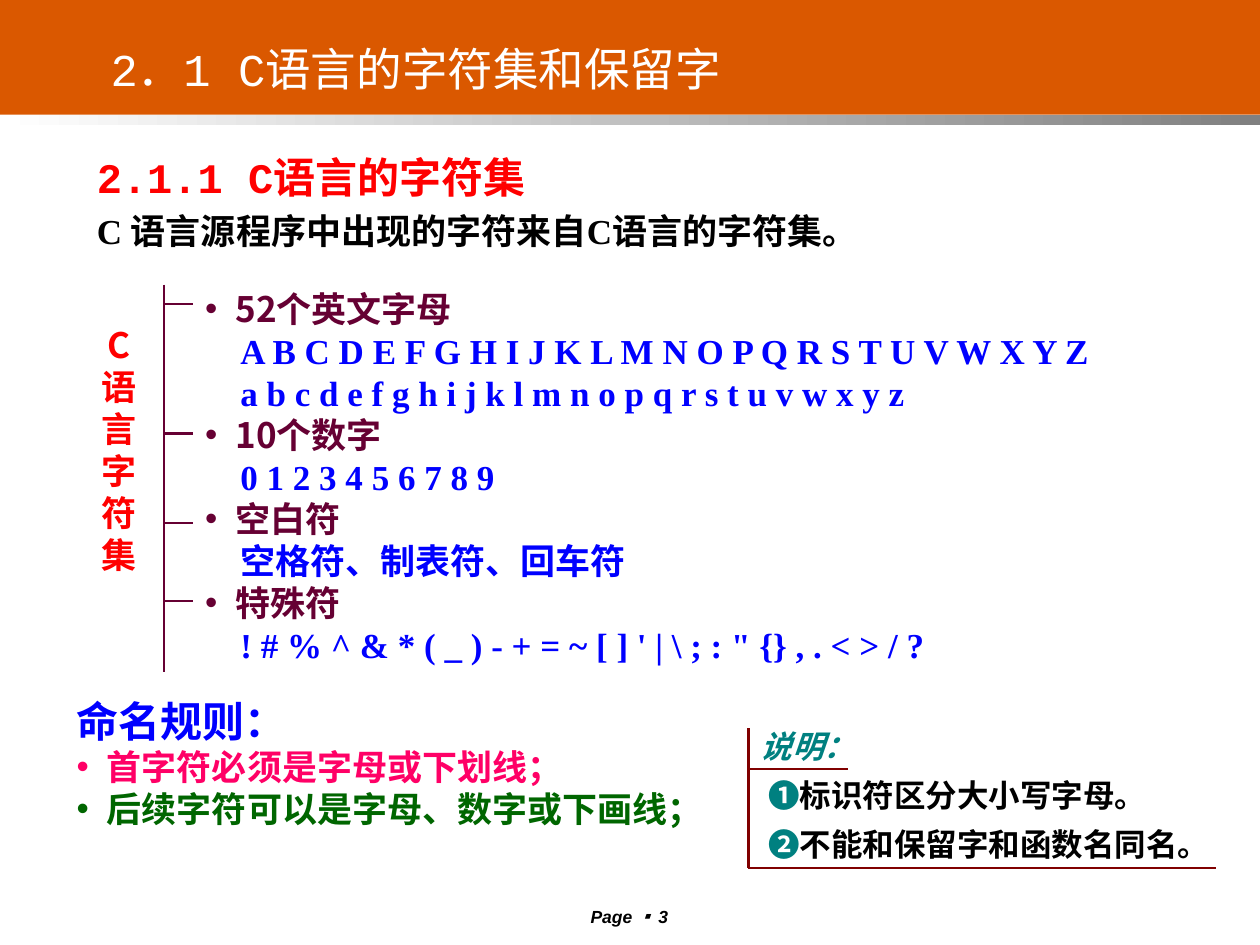
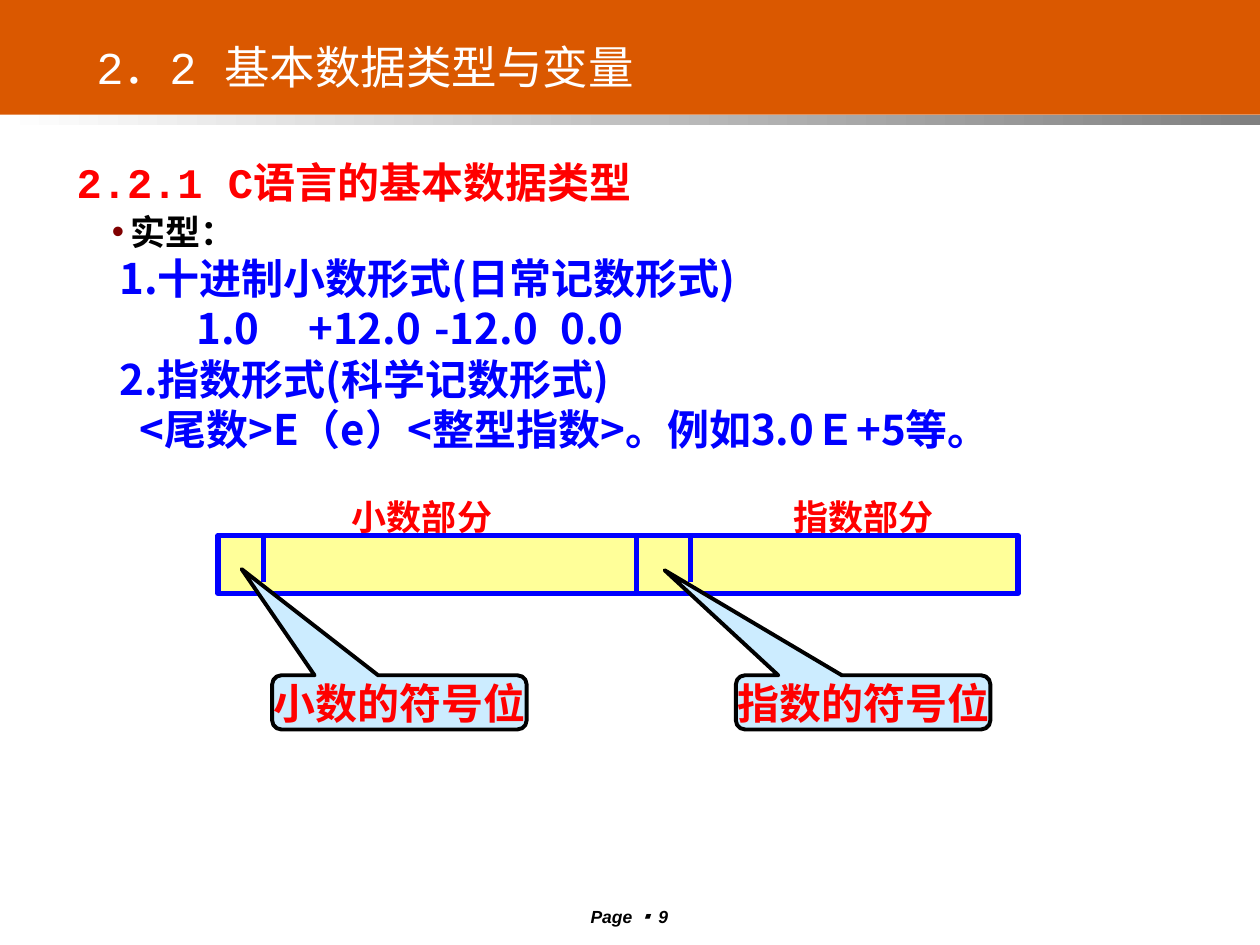
"""Builds two lecture slides on the C character set and real data types."""
from lxml import etree
from pptx import Presentation
from pptx import util as u
from pptx.dml.color import RGBColor
from pptx.enum import shapes, text
from pptx.oxml.ns import qn


class Theme:
    band, grey, white, black = "DA5800", "808080", "FFFFFF", "000000"
    red, blue, plum, maroon = "FF0000", "0000FF", "660033", "800000"
    teal, pink, green = "008080", "FF0066", "006600"
    cell, bubble = "FFFF99", "CCECFF"
    mono, serif, sans = "Courier New", "Times New Roman", "Arial"
    cjk, cjkjp = "Noto Sans CJK SC", "Noto Sans CJK JP"
    title, head, body, note, foot = 26, 24, 20, 18, 10
    thin, bold, edge = 1.25, 3, 2.25


T = Theme
PX = 9144
SIZE = 1000, 750
C, J = text.PP_ALIGN.CENTER, text.PP_ALIGN.JUSTIFY


def line(words, color=T.black, size=T.body, font=T.serif, **more):
    return dict(words=words, color=color, size=size, font=font, **more)


def item(words, color, font=T.serif, **more):
    return line(words, color, font=font, dot=color, left=24, first=-24, **more)


def point(mark, words):
    return line([(mark, T.sans, T.teal), (words, T.serif, T.black)],
                size=T.note, first=6, gap=1.3)


SETS = [
    ("52个英文字母", ["A B C D E F G H I J K L M N O P Q R S T U V W X Y Z",
                 "a b c d e f g h i j k l m n o p q r s t u v w x y z"]),
    ("10个数字", ["0 1 2 3 4 5 6 7 8 9"]),
    ("空白符", ["空格符、制表符、回车符"]),
    ("特殊符", ["! # % ^ & * ( _ ) - + = ~ [ ] ' | \\ ; : \" {} , . < > / ?"]),
]
LIST = [row for name, rows in SETS for row in
        [item(name, T.plum, T.cjkjp)] + [line(r, T.blue, left=28) for r in rows]]

CHARS = dict(
    page=3,
    title=("2．1 C语言的字符集和保留字", (59, 28, 542, 56), text.MSO_ANCHOR.TOP),
    texts=[
        ((67, 107, 772, 98), [
            line("2.1.1 C语言的字符集", T.red, T.head, T.mono, gap=1.2),
            line("C 语言源程序中出现的字符来自C语言的字符集。", gap=1.2)]),
        ((67, 252, 55, 210), [line("C语言字符集", T.red, font=T.cjk, align=C)]),
        ((153, 223, 740, 310), LIST),
        ((51, 547, 520, 126), [
            line("命名规则：", T.blue, T.head, align=J),
            item("首字符必须是字母或下划线；", T.pink, align=J),
            item("后续字符可以是字母、数字或下画线；", T.green, align=J)]),
        ((594, 563, 378, 127), [
            line("说明：", T.teal, T.note, italic=True, gap=1.3),
            point("❶", "标识符区分大小写字母。"),
            point("❷", "不能和保留字和函数名同名。")]),
    ],
    rules=[(T.plum, T.thin, [(130, 226, 130, 533)]
            + [(130, y, 153, y) for y in (241, 344, 415, 477)]),
           (T.maroon, T.thin, [(594, 578, 594, 689), (594, 610, 673, 610),
                               (594, 689, 965, 689)])],
)

REALS = dict(
    page=9,
    title=("2．2 基本数据类型与变量", (62, 21, 456, 63), text.MSO_ANCHOR.MIDDLE),
    texts=[
        ((51, 115, 536, 54), [
            line("2.2.1 C语言的基本数据类型", T.red, T.head, T.mono, gap=1.1)]),
        ((35, 162, 933, 249), [
            line("实型：", dot=T.maroon, left=59, first=-15)] + [
            line(words, T.blue, T.head, T.cjk, first=first, tabs=tabs)
            for words, first, tabs in [
                ("1.十进制小数形式(日常记数形式)", 50, ()),
                ("1.0\t+12.0\t-12.0\t0.0", 111, (184, 296, 409)),
                ("2.指数形式(科学记数形式)", 50, ()),
                ("<尾数>E（e）<整型指数>。例如3.0Ｅ+5等。", 66, ())]]),
        ((606, 388, 159, 44), [line("指数部分", T.red, align=C)]),
        ((252, 388, 166, 44), [line("小数部分", T.red, align=C)]),
    ],
    cells=[(173, 425, 332, 46), (505, 425, 303, 46)],
    rules=[(T.blue, T.bold, [(x, 425, x, 462) for x in (209, 548)])],
    calls=[("小数的符号位", (216, 536, 202, 43), (-0.62, -2.46, 0.17)),
           ("指数的符号位", (584, 536, 202, 43), (-0.78, -2.44, 0.17))],
)


def rgb(code):
    return RGBColor.from_string(code)


def style(font, face, color):
    font.name = face
    font.color.rgb = rgb(color)


def east(run):
    tag = etree.SubElement(run.font._element, qn("a:ea"))
    tag.set("typeface", T.cjk)


def indent(para, row):
    props = para._p.get_or_add_pPr()
    props.set("marL", str(row.get("left", 0) * PX))
    props.set("indent", str(row.get("first", 0) * PX))
    if "dot" in row:
        tint = etree.SubElement(props, qn("a:buClr"))
        etree.SubElement(tint, qn("a:srgbClr")).set("val", row["dot"])
        etree.SubElement(props, qn("a:buFont")).set("typeface", T.sans)
        etree.SubElement(props, qn("a:buChar")).set("char", "•")
    if row.get("tabs"):
        stops = etree.SubElement(props, qn("a:tabLst"))
        for x in row["tabs"]:
            etree.SubElement(stops, qn("a:tab"), pos=str(x * PX), algn="l")


def write(frame, rows, wrap=True, anchor=text.MSO_ANCHOR.TOP):
    frame.word_wrap = wrap
    frame.vertical_anchor = anchor
    for n, row in enumerate(rows):
        para = frame.add_paragraph() if n else frame.paragraphs[0]
        para.alignment = row.get("align", text.PP_ALIGN.LEFT)
        para.line_spacing = row.get("gap", 1.0)
        indent(para, row)
        mixed = isinstance(row["words"], list)
        parts = row["words"] if mixed else [(row["words"], row["font"], row["color"])]
        for words, face, color in parts:
            run = para.add_run()
            run.text = words
            style(run.font, face, color)
            run.font.size = u.Pt(row["size"])
            run.font.bold = row.get("bold", True)
            run.font.italic = row.get("italic", False)
            east(run)


def scale(box):
    return [n * PX for n in box]


def label(slide, box, rows, **more):
    write(slide.shapes.add_textbox(*scale(box)).text_frame, rows, **more)


def block(slide, kind, box, fill, edge=None, width=0):
    shape = slide.shapes.add_shape(kind, *scale(box))
    shape.shadow.inherit = False
    shape.fill.solid()
    shape.fill.fore_color.rgb = rgb(fill)
    if edge:
        shape.line.color.rgb = rgb(edge)
        shape.line.width = u.Pt(width)
    else:
        shape.line.fill.background()
    return shape


def rule(slide, ends, color, width):
    link = slide.shapes.add_connector(shapes.MSO_CONNECTOR.STRAIGHT, *scale(ends))
    link.line.color.rgb = rgb(color)
    link.line.width = u.Pt(width)
    etree.SubElement(link._element.spPr, qn("a:effectLst"))


def frame(slide, page, title):
    rect = shapes.MSO_SHAPE.RECTANGLE
    block(slide, rect, (0, 0, SIZE[0], 91), T.band)
    fade = block(slide, rect, (0, 91, SIZE[0], 8), T.white).fill
    fade.gradient()
    fade.gradient_angle = 0
    for stop, color in zip(fade.gradient_stops, (T.white, T.grey)):
        stop.color.rgb = rgb(color)
    foot = [("Page ", T.sans, T.black), ("▪ ", T.cjkjp, T.black),
            (str(page), T.sans, T.black)]
    label(slide, (421, 714, 157, 22), [line(foot, size=T.foot, italic=True, align=C)])
    words, box, anchor = title
    label(slide, box, [line(words, T.white, T.title, T.mono, bold=False, align=C)],
          anchor=anchor)


def build(deck, page, title, texts, rules, cells=(), calls=()):
    slide = deck.slides.add_slide(deck.slide_layouts[6])
    frame(slide, page, title)
    for box, rows in texts:
        label(slide, box, rows)
    for box in cells:
        block(slide, shapes.MSO_SHAPE.RECTANGLE, box, T.cell, T.blue, T.bold)
    for color, width, ends in rules:
        for pair in ends:
            rule(slide, pair, color, width)
    for words, box, bends in calls:
        kind = shapes.MSO_SHAPE.ROUNDED_RECTANGULAR_CALLOUT
        shape = block(slide, kind, box, T.bubble, T.black, T.edge)
        for n, bend in enumerate(bends):
            shape.adjustments[n] = bend
        write(shape.text_frame, [line(words, T.red, T.head, align=C)],
              wrap=False, anchor=text.MSO_ANCHOR.MIDDLE)


def main():
    deck = Presentation()
    deck.slide_width, deck.slide_height = scale(SIZE)
    for plan in (CHARS, REALS):
        build(deck, **plan)
    deck.save("out.pptx")


if __name__ == "__main__":
    main()
